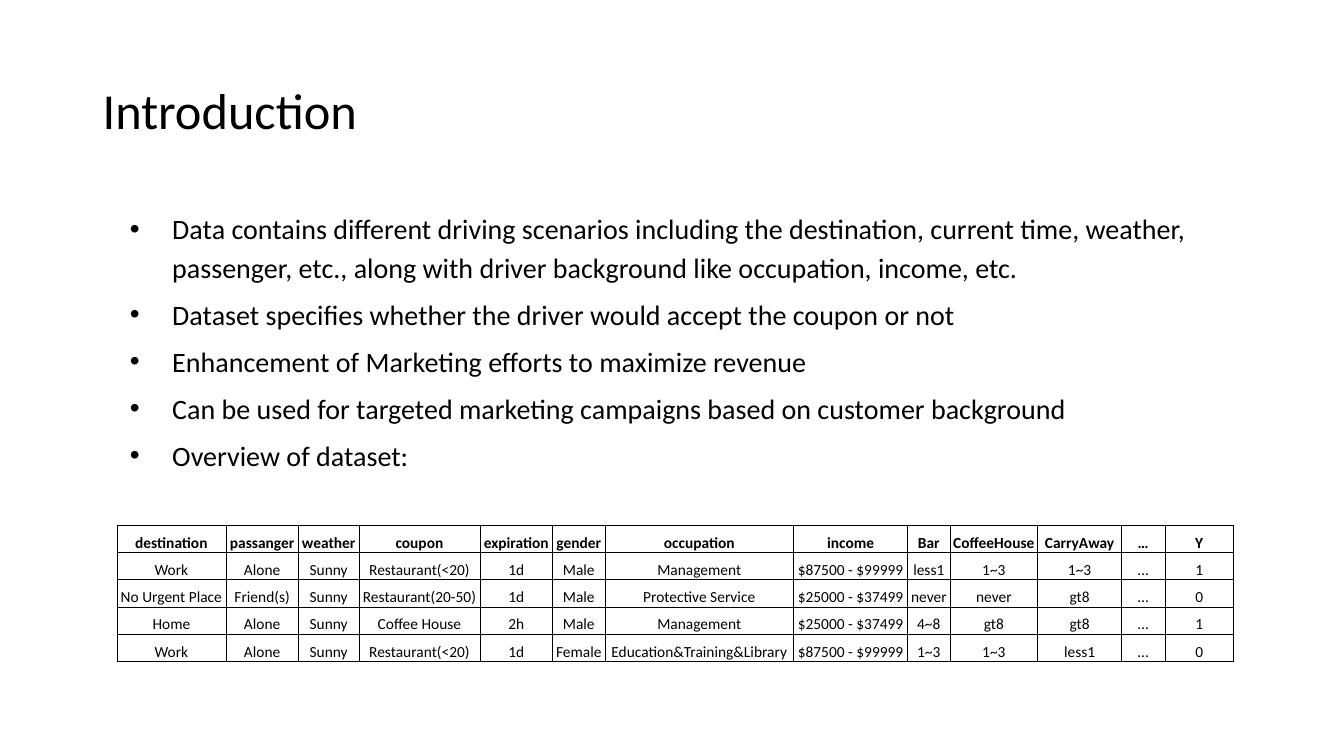
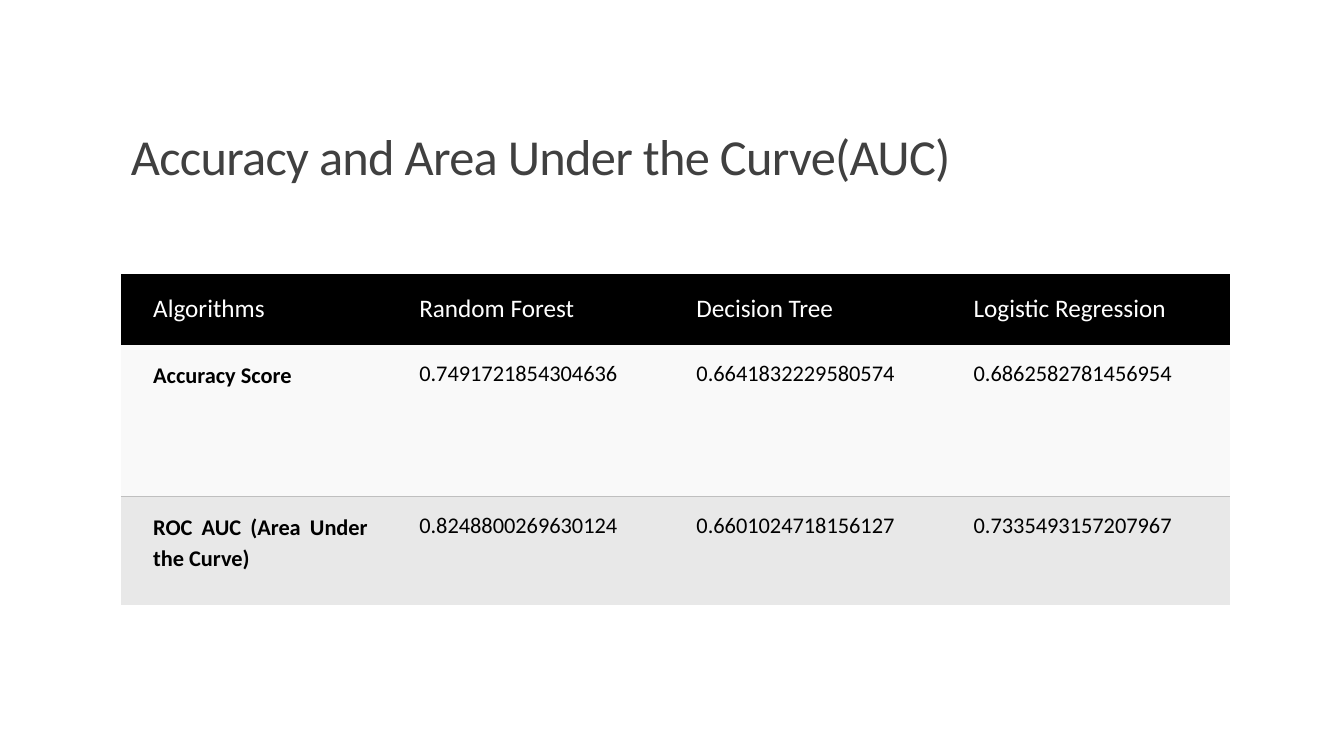
from lxml import etree
from pptx import Presentation
from pptx import util as u
from pptx.dml.color import RGBColor
from pptx.enum import text
from pptx.oxml.ns import qn

BLACK = RGBColor(0x00, 0x00, 0x00)
WHITE = RGBColor(0xFF, 0xFF, 0xFF)
DARK = RGBColor(0x40, 0x40, 0x40)
RULE = RGBColor(0xBF, 0xBF, 0xBF)
PALE = RGBColor(0xF9, 0xF9, 0xF9)
GREY = RGBColor(0xE8, 0xE8, 0xE8)
FONT = "Calibri"
NO_STYLE = "{2D5ABB26-0587-4C30-8999-92F81FD0307C}"
LEFT, CENTER, JUSTIFY = (text.PP_ALIGN.LEFT, text.PP_ALIGN.CENTER,
                         text.PP_ALIGN.JUSTIFY)
TOP, MIDDLE, BOTTOM = (text.MSO_ANCHOR.TOP, text.MSO_ANCHOR.MIDDLE,
                       text.MSO_ANCHOR.BOTTOM)

prs = Presentation()
prs.slide_width, prs.slide_height = u.Inches(13.33), u.Inches(7.5)
COL, ROW = prs.slide_width / 100, prs.slide_height / 100  # percent grid

TITLE = {"para": {"line_spacing": 0.9}, "size": 36}


def write(tf, lines, size, color=BLACK, bold=False, para=None):
    """Fill a text frame, one paragraph per line."""
    for i, line in enumerate(lines):
        p = tf.paragraphs[0] if i == 0 else tf.add_paragraph()
        for name, value in (para or {}).items():
            setattr(p, name, value)
        r = p.add_run()
        r.text = line
        font = {"name": FONT, "size": u.Pt(size), "bold": bold}
        for name, value in font.items():
            setattr(r.font, name, value)
        r.font.color.rgb = color


def add_grid(s, at, widths, heights):
    """Add an unstyled table; widths and heights are relative weights."""
    x, y, w, h = at
    tbl = s.shapes.add_table(len(heights), len(widths), int(x * COL),
                             int(y * ROW), int(w * COL), int(h * ROW)).table
    tbl.first_row = tbl.horz_banding = False
    tbl._tbl.tblPr.find(qn("a:tableStyleId")).text = NO_STYLE
    for column, weight in zip(tbl.columns, widths):
        column.width = int(w * COL * weight / sum(widths))
    for row, weight in zip(tbl.rows, heights):
        row.height = int(h * ROW * weight / sum(heights))
    return tbl


# Slides with their titles
slides = []
titles = [
    ("Introduction", (6.9, 5.33, 86.25, 19.33), MIDDLE, BLACK, 0, 0),
    ("Accuracy and Area Under the Curve(AUC)", (9, 4.13, 82.5, 21.2),
     BOTTOM, DARK, 6, -50),
]
for title, (x, y, w, h), anchor, color, after, spacing in titles:
    s = prs.slides.add_slide(prs.slide_layouts[6])
    slides.append(s)
    tf = s.shapes.add_textbox(int(x * COL), int(y * ROW),
                              int(w * COL), int(h * ROW)).text_frame
    tf.word_wrap, tf.vertical_anchor = True, anchor
    write(tf, [title], color=color, **TITLE)
    p = tf.paragraphs[0]
    p.space_after = u.Pt(after)
    p.runs[0].font._element.set("spc", str(spacing))

# Slide 1: bullets
s = slides[0]
points = [
    "Data contains different driving scenarios including the destination, "
    "current time, weather, passenger, etc., along with driver background "
    "like occupation, income, etc.",
    "Dataset specifies whether the driver would accept the coupon or not",
    "Enhancement of Marketing efforts to maximize revenue",
    "Can be used for targeted marketing campaigns based on customer background",
    "Overview of dataset:",
]
tf = s.shapes.add_textbox(int(6.9 * COL), int(26.67 * ROW),
                          int(86.25 * COL), int(40 * ROW)).text_frame
tf.word_wrap = True
write(tf, points, 20, para={"line_spacing": 1.15, "space_after": u.Pt(6)})
for p in tf.paragraphs:
    pPr = p._p.get_or_add_pPr()
    pPr.set("marL", str(u.Inches(0.69)))
    pPr.set("indent", str(u.Inches(-0.42)))
    etree.SubElement(pPr, qn("a:buFont"), typeface="Arial")
    etree.SubElement(pPr, qn("a:buChar"), char="•")

# Slide 1: dataset sample
sample = [
    ["destination", "passanger", "weather", "coupon", "expiration", "gender",
     "occupation", "income", "Bar", "CoffeeHouse", "CarryAway", "…", "Y"],
    ["Work", "Alone", "Sunny", "Restaurant(<20)", "1d", "Male", "Management",
     "$87500 - $99999", "less1", "1~3", "1~3", "…", "1"],
    ["No Urgent Place", "Friend(s)", "Sunny", "Restaurant(20-50)", "1d", "Male",
     "Protective Service", "$25000 - $37499", "never", "never", "gt8", "…", "0"],
    ["Home", "Alone", "Sunny", "Coffee House", "2h", "Male", "Management",
     "$25000 - $37499", "4~8", "gt8", "gt8", "…", "1"],
    ["Work", "Alone", "Sunny", "Restaurant(<20)", "1d", "Female",
     "Education&Training&Library", "$87500 - $99999", "1~3", "1~3", "less1",
     "…", "0"],
]
sample_tbl = add_grid(s, (8.7, 69.5, 83.1, 18),
                      [108, 72, 60, 120, 72, 52, 187, 113, 42, 87, 83, 43, 68],
                      [1] * len(sample))

# Slide 2: scores
scores = [
    ["Algorithms", "Random Forest", "Decision Tree", "Logistic Regression"],
    ["Accuracy Score", "0.7491721854304636", "0.6641832229580574",
     "0.6862582781456954"],
    ["ROC AUC (Area Under the Curve)", "0.8248800269630124",
     "0.6601024718156127", "0.7335493157207967"],
]
score_tbl = add_grid(slides[1], (9, 36.27, 82.5, 43.73),
                     [264, 275, 275, 286], [70, 151, 107])

# Cells of both tables: margins are left, top, right, bottom in inches
tables = [
    {"tbl": sample_tbl, "data": sample, "margins": (0, 0, 0, 0),
     "anchors": [BOTTOM] * 5, "fills": [None] * 5, "sizes": [11] * 5,
     "colors": [BLACK] * 5, "para": {"alignment": CENTER},
     "bold": lambda i, j: i == 0,
     "edges": ["LRTB"] * 5, "line": (BLACK, 0.5)},
    {"tbl": score_tbl, "data": scores, "margins": (0.32, 0.13, 0.19, 0.19),
     "anchors": [MIDDLE, TOP, TOP], "fills": [BLACK, PALE, GREY],
     "sizes": [18, 16, 16], "colors": [WHITE, BLACK, BLACK],
     "para": {"alignment": JUSTIFY, "space_after": u.Pt(8)},
     "bold": lambda i, j: i > 0 and j == 0,
     "edges": ["", "B", "T"], "line": (RULE, 1)},
]
for t in tables:
    line_color, line_width = t["line"]
    for i, row in enumerate(t["data"]):
        for j, value in enumerate(row):
            cell = t["tbl"].cell(i, j)
            for side, margin in zip(("left", "top", "right", "bottom"),
                                    t["margins"]):
                setattr(cell, "margin_" + side, u.Inches(margin))
            cell.vertical_anchor = t["anchors"][i]
            para = dict(t["para"])
            if t["tbl"] is score_tbl:
                para["line_spacing"] = 1.07 if i and j else 1.15
            write(cell.text_frame, [value], t["sizes"][i], t["colors"][i],
                  t["bold"](i, j), para)
            # Borders come before the fill in the cell properties
            tcPr = cell._tc.get_or_add_tcPr()
            for edge in t["edges"][i]:
                ln = etree.SubElement(tcPr, qn("a:ln" + edge),
                                      w=str(u.Pt(line_width)))
                solid = etree.SubElement(ln, qn("a:solidFill"))
                etree.SubElement(solid, qn("a:srgbClr"), val=str(line_color))
            if t["fills"][i] is None:
                cell.fill.background()
            else:
                cell.fill.solid()
                cell.fill.fore_color.rgb = t["fills"][i]

prs.save("out.pptx")
